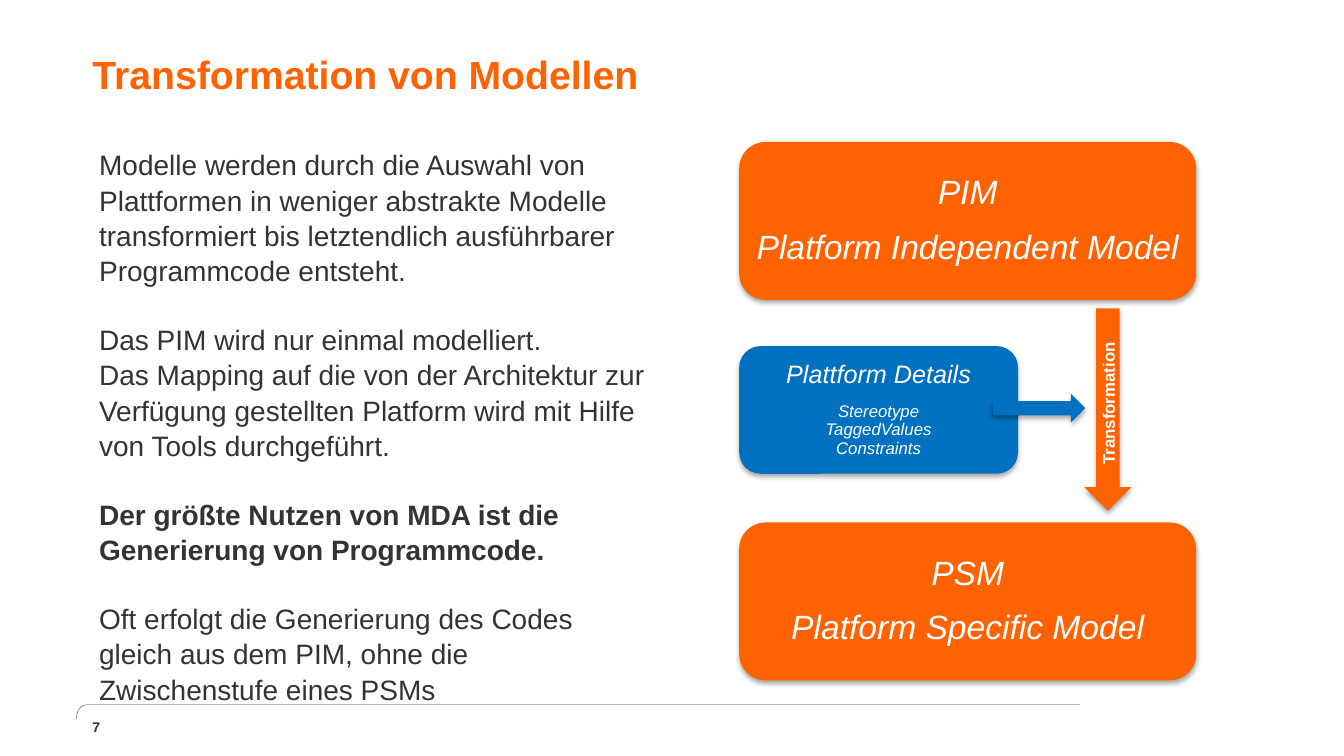
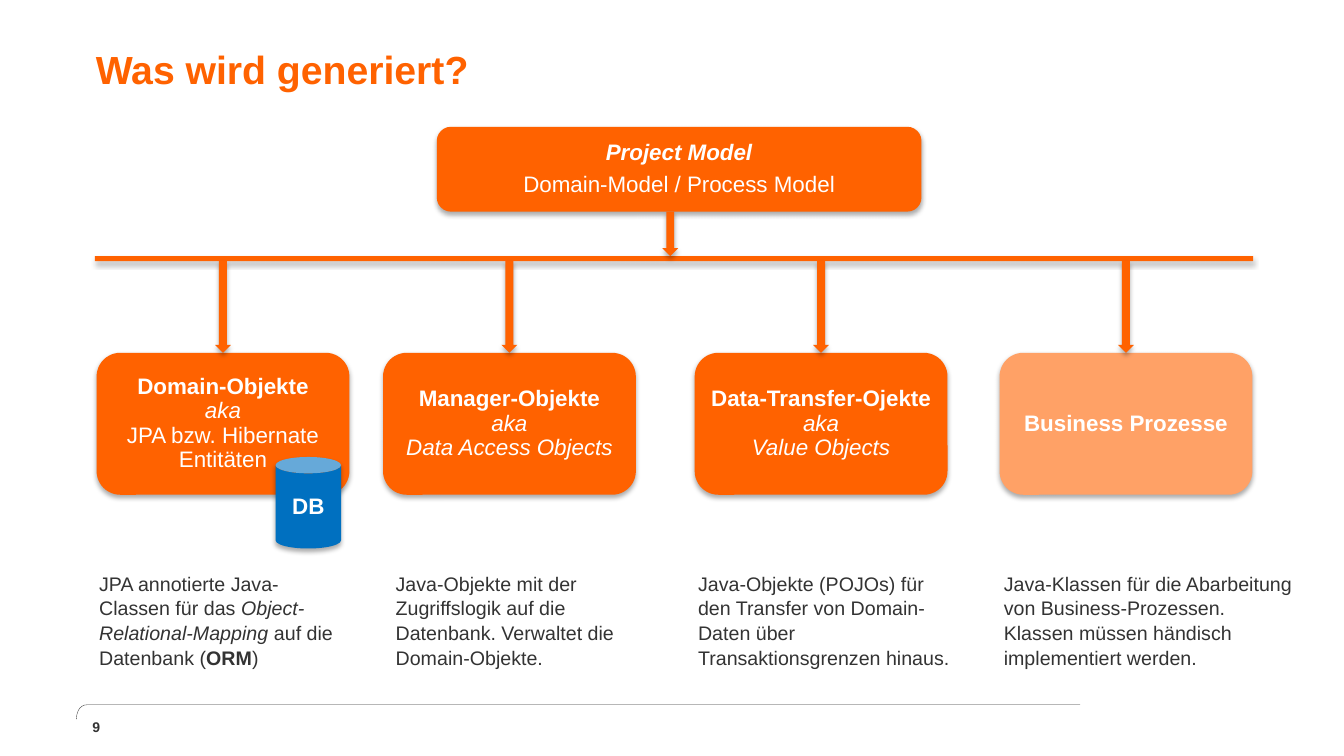
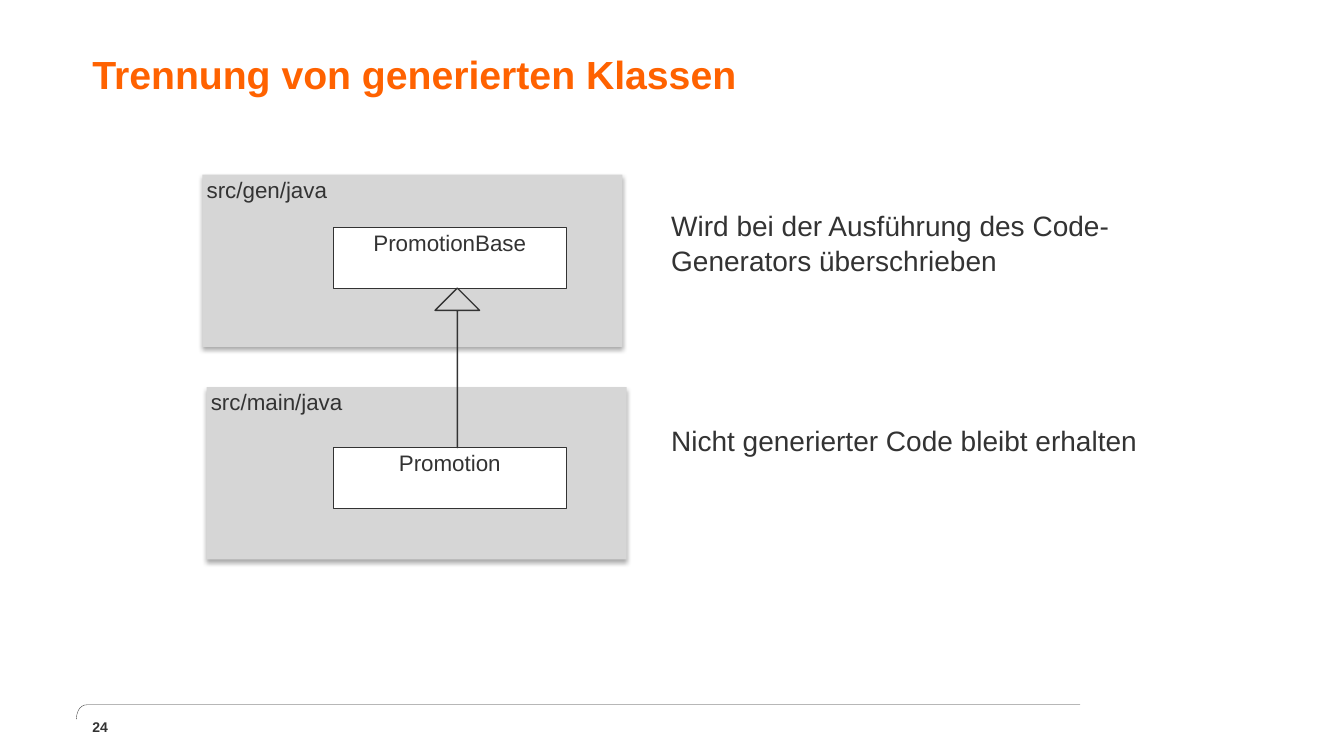
from dataclasses import dataclass, field
from typing import Any

from lxml.etree import SubElement
from pptx import Presentation
from pptx.dml.color import RGBColor
from pptx.enum.shapes import MSO_SHAPE
from pptx.enum.text import MSO_ANCHOR, PP_ALIGN
from pptx.oxml.ns import qn
from pptx.util import Inches, Pt

# The slide is a grid of 160 columns and 90 rows of square cells.
COLUMNS, ROWS = 160, 90
CELL = Inches(1 / 12)
FONT = "Arial"
COLORS = {
    "orange": "FF6200",
    "light orange": "FFA166",
    "blue": "0070C0",
    "gray": "D6D6D6",
    "text": "333333",
    "white": "FFFFFF",
}
SHADOW = {"blurRad": Pt(3.5), "dist": Pt(2.2), "dir": 90 * 60000, "algn": "ctr", "rotWithShape": 0}
SHADOW_ALPHA = 32000


@dataclass(frozen=True)
class Area:
    left: float
    top: float
    width: float
    height: float

    def emu(self) -> list[int]:
        return [cells(value) for value in (self.left, self.top, self.width, self.height)]


@dataclass(frozen=True)
class Span:
    text: str
    format: dict[str, Any] = field(default_factory=dict)


@dataclass(frozen=True)
class Para:
    spans: list[Span]
    before: float = 0


@dataclass(frozen=True)
class Style:
    size: float
    color: str = "text"
    bold: bool = False
    align: PP_ALIGN = PP_ALIGN.LEFT
    anchor: MSO_ANCHOR = MSO_ANCHOR.TOP
    spacing: Any = 1.05
    inset: float = 0.5


@dataclass(frozen=True)
class Card:
    left: float
    color: str
    paras: list[Para]


@dataclass(frozen=True)
class Note:
    left: float
    width: float
    paras: list[Para]


@dataclass(frozen=True)
class Package:
    left: float
    top: float
    label: str
    class_top: float
    class_name: str


BOLD = {"bold": True}
ITALIC = {"italic": True}
CENTERED = {"align": PP_ALIGN.CENTER, "spacing": 0.9}
ON_COLOR = {**CENTERED, "color": "white", "anchor": MSO_ANCHOR.MIDDLE}

TITLE = Style(28, "orange", True, anchor=MSO_ANCHOR.MIDDLE, spacing=Pt(28), inset=0)
PAGE_NUMBER = Style(10, bold=True, anchor=MSO_ANCHOR.MIDDLE, spacing=1.0, inset=0)
BODY = Style(20)
NOTE = Style(14)
MODEL = Style(24, **ON_COLOR)
DETAILS = Style(12, **ON_COLOR)
CARD = Style(16, **ON_COLOR)
ARROW_LABEL = Style(12, "white", True, **CENTERED)
PACKAGE = Style(16, spacing=0.9)
CLASS = Style(16, **CENTERED)


def cells(count: float) -> int:
    return round(count * CELL)


def rgb(name: str) -> RGBColor:
    return RGBColor.from_string(COLORS[name])


def para(text: str, before: float = 0, **format: Any) -> Para:
    return Para([Span(text, format)], before)


def write(shape: Any, paras: list[Para], style: Style) -> None:
    frame = shape.text_frame
    inset = cells(style.inset)
    settings = {"word_wrap": True, "vertical_anchor": style.anchor}
    settings |= {f"margin_{side}": inset for side in ("left", "top", "right", "bottom")}
    for name, value in settings.items():
        setattr(frame, name, value)
    for index, content in enumerate(paras):
        paragraph = frame.add_paragraph() if index else frame.paragraphs[0]
        spacing = {
            "alignment": style.align,
            "line_spacing": style.spacing,
            "space_before": Pt(content.before),
        }
        for name, value in spacing.items():
            setattr(paragraph, name, value)
        for span in content.spans:
            run = paragraph.add_run()
            run.text = span.text
            run.font.color.rgb = rgb(style.color)
            format = {"name": FONT, "size": Pt(style.size), "bold": style.bold, **span.format}
            for name, value in format.items():
                setattr(run.font, name, value)


def add_text(page: Any, area: Area, paras: list[Para], style: Style) -> None:
    write(page.shapes.add_textbox(*area.emu()), paras, style)


def outline(shape: Any, width: float) -> None:
    shape.line.color.rgb = rgb("text")
    shape.line.width = Pt(width)


def add_box(
    page: Any, kind: MSO_SHAPE, area: Area, fill: str | None, line: float = 0, shadow: bool = True
) -> Any:
    box = page.shapes.add_shape(kind, *area.emu())
    if fill:
        box.fill.solid()
        box.fill.fore_color.rgb = rgb(fill)
    else:
        box.fill.background()
    if line:
        outline(box, line)
    else:
        box.line.fill.background()
    box.shadow.inherit = False
    if shadow:
        effects = box.element.spPr.find(qn("a:effectLst"))
        outer = SubElement(effects, qn("a:outerShdw"), {k: str(v) for k, v in SHADOW.items()})
        color = SubElement(outer, qn("a:srgbClr"), val="000000")
        SubElement(color, qn("a:alpha"), val=str(SHADOW_ALPHA))
    return box


def add_footer_rule(page: Any) -> None:
    """Draw the thin rule whose left end bends down."""
    right, corner, left, top, bottom = 128.6, 10.4, 9.1, 83.9, 85.6
    steps = 10
    bend = []
    for step in range(1, steps + 1):
        t = step / steps
        start, control = (1 - t) ** 3, 3 * t * (1 - t) ** 2
        bend.append((
            cells(left + (corner - left) * start),
            cells(bottom - (bottom - top) * (start + control)),
        ))
    builder = page.shapes.build_freeform(cells(right), cells(top))
    builder.add_line_segments([(cells(corner), cells(top)), *bend], close=False)
    rule = builder.convert_to_shape()
    rule.fill.background()
    rule.shadow.inherit = False
    outline(rule, 0.25)


def add_page(deck: Any, title: str, number: int, left: float = 11, top: float = 3.7) -> Any:
    page = deck.slides.add_slide(deck.slide_layouts[6])
    add_footer_rule(page)
    add_text(page, Area(left, top, 137.6, 11.2), [para(title)], TITLE)
    add_text(page, Area(11, 85.3, 6.5, 2.5), [para(str(number))], PAGE_NUMBER)
    return page


def build_transformation(deck: Any) -> None:
    page = add_page(deck, "Transformation von Modellen", 7)
    models = [
        (16.9, "PIM", "Platform Independent Model"),
        (62.2, "PSM", "Platform Specific Model"),
    ]
    for top, short, name in models:
        box = add_box(page, MSO_SHAPE.ROUNDED_RECTANGLE, Area(88, top, 54.4, 18.8), "orange")
        write(box, [para(short, **ITALIC), para(name, 13, **ITALIC)], MODEL)

    arrow = add_box(page, MSO_SHAPE.DOWN_ARROW, Area(129.1, 36.7, 5.6, 24.1), "orange")
    write(arrow, [para("Transformation")], ARROW_LABEL)
    arrow.text_frame._txBody.bodyPr.set("vert", "vert270")

    details = add_box(page, MSO_SHAPE.ROUNDED_RECTANGLE, Area(88, 41.2, 33.2, 15.2), "blue")
    write(details, [
        para("Plattform Details", size=Pt(18), **ITALIC),
        para("Stereotype", 10, **ITALIC),
        para("TaggedValues", **ITALIC),
        para("Constraints", **ITALIC),
    ], DETAILS)
    add_box(page, MSO_SHAPE.RIGHT_ARROW, Area(118.2, 46.9, 11, 3.4), "blue")

    gap = 24
    add_text(page, Area(11.3, 16.9, 66.2, 72.5), [
        para("Modelle werden durch die Auswahl von Plattformen in weniger abstrakte Modelle "
             "transformiert bis letztendlich ausführbarer Programmcode entsteht."),
        para("Das PIM wird nur einmal modelliert.", gap),
        para("Das Mapping auf die von der Architektur zur Verfügung gestellten Platform wird "
             "mit Hilfe von Tools durchgeführt."),
        para("Der größte Nutzen von MDA ist die Generierung von Programmcode.", gap, **BOLD),
        para("Oft erfolgt die Generierung des Codes gleich aus dem PIM, ohne die "
             "Zwischenstufe eines PSMs", gap),
    ], BODY)


def build_generated(deck: Any) -> None:
    page = add_page(deck, "Was wird generiert?", 9, 11.4, 3.1)
    notes = [
        Note(11.3, 30.1, [Para([
            Span("JPA annotierte Java-Classen für das "),
            Span("Object-Relational-Mapping", ITALIC),
            Span(" auf die Datenbank ("),
            Span("ORM", BOLD),
            Span(")"),
        ])]),
        Note(46.6, 31.1, [para("Java-Objekte mit der Zugriffslogik auf die Datenbank. "
                               "Verwaltet die Domain-Objekte.")]),
        Note(82.6, 31.6, [para("Java-Objekte (POJOs) für den Transfer von Domain-Daten über "
                               "Transaktionsgrenzen hinaus.")]),
        Note(119, 37.3, [para("Java-Klassen für die Abarbeitung von Business-Prozessen."),
                         para("Klassen müssen händisch implementiert werden.")]),
    ]
    for note in notes:
        add_text(page, Area(note.left, 67.4, note.width, 12.2), note.paras, NOTE)

    project = add_box(page, MSO_SHAPE.ROUNDED_RECTANGLE, Area(52, 15.1, 57.7, 10.1), "orange")
    write(project, [
        para("Project Model", **BOLD, **ITALIC),
        para("Domain-Model / Process Model", 5),
    ], CARD)

    bar = Area(11.3, 30.5, 137.9, 0.6)
    add_box(page, MSO_SHAPE.RECTANGLE, bar, "orange")
    bar_bottom = bar.top + bar.height

    card_top, card_width, arrow_width = 42, 30.1, 1.9
    aka = para("aka", **ITALIC)
    cards = [
        Card(11.5, "orange", [para("Domain-Objekte", **BOLD), aka,
                              para("JPA bzw. Hibernate Entitäten")]),
        Card(45.6, "orange", [para("Manager-Objekte", **BOLD), aka,
                              para("Data Access Objects", **ITALIC)]),
        Card(82.7, "orange", [para("Data-Transfer-Ojekte", **BOLD), aka,
                              para("Value Objects", **ITALIC)]),
        Card(119, "light orange", [para("Business Prozesse", **BOLD)]),
    ]
    for card in cards:
        area = Area(card.left, card_top, card_width, 16.9)
        box = add_box(page, MSO_SHAPE.ROUNDED_RECTANGLE, area, card.color)
        write(box, card.paras, CARD)

    arrows = [(COLUMNS / 2 - 0.2, 25.2, bar.top)]
    arrows += [(card.left + card_width / 2, bar_bottom, card_top) for card in cards]
    for center, top, bottom in arrows:
        area = Area(center - arrow_width / 2, top, arrow_width, bottom - top)
        add_box(page, MSO_SHAPE.DOWN_ARROW, area, "orange")

    database = add_box(page, MSO_SHAPE.CAN, Area(32.8, 54.4, 7.8, 10.9), "blue")
    write(database, [para("DB", **BOLD)], CARD)


def build_separation(deck: Any) -> None:
    page = add_page(deck, "Trennung von generierten Klassen", 24)
    packages = [
        Package(24.6, 46.1, "src/main/java", 53.3, "Promotion"),
        Package(24.1, 20.8, "src/gen/java", 27.1, "PromotionBase"),
    ]
    class_height = 7.2
    for package in packages:
        area = Area(package.left, package.top, 50, 20.5)
        folder = add_box(page, MSO_SHAPE.RECTANGLE, area, "gray")
        write(folder, [para(package.label)], PACKAGE)
        area = Area(39.7, package.class_top, 27.7, class_height)
        box = add_box(page, MSO_SHAPE.RECTANGLE, area, "white", 0.5, False)
        write(box, [para(package.class_name)], CLASS)

    child, parent = packages
    top = parent.class_top + class_height
    area = Area(51.8, top, 5.3, child.class_top - top)
    inheritance = add_box(page, MSO_SHAPE.UP_ARROW, area, None, 1, False)
    for index, share in enumerate((0, 0.5)):
        inheritance.adjustments[index] = share

    remarks = [
        (Area(79.4, 24.1, 69.7, 9),
         "Wird bei der Ausführung des Code-Generators überschrieben"),
        (Area(79.4, 49.7, 59.3, 5), "Nicht generierter Code bleibt erhalten"),
    ]
    for area, remark in remarks:
        add_text(page, area, [para(remark)], BODY)


def main() -> None:
    deck = Presentation()
    deck.slide_width, deck.slide_height = cells(COLUMNS), cells(ROWS)
    for build in (build_transformation, build_generated, build_separation):
        build(deck)
    deck.save("out.pptx")


if __name__ == "__main__":
    main()
